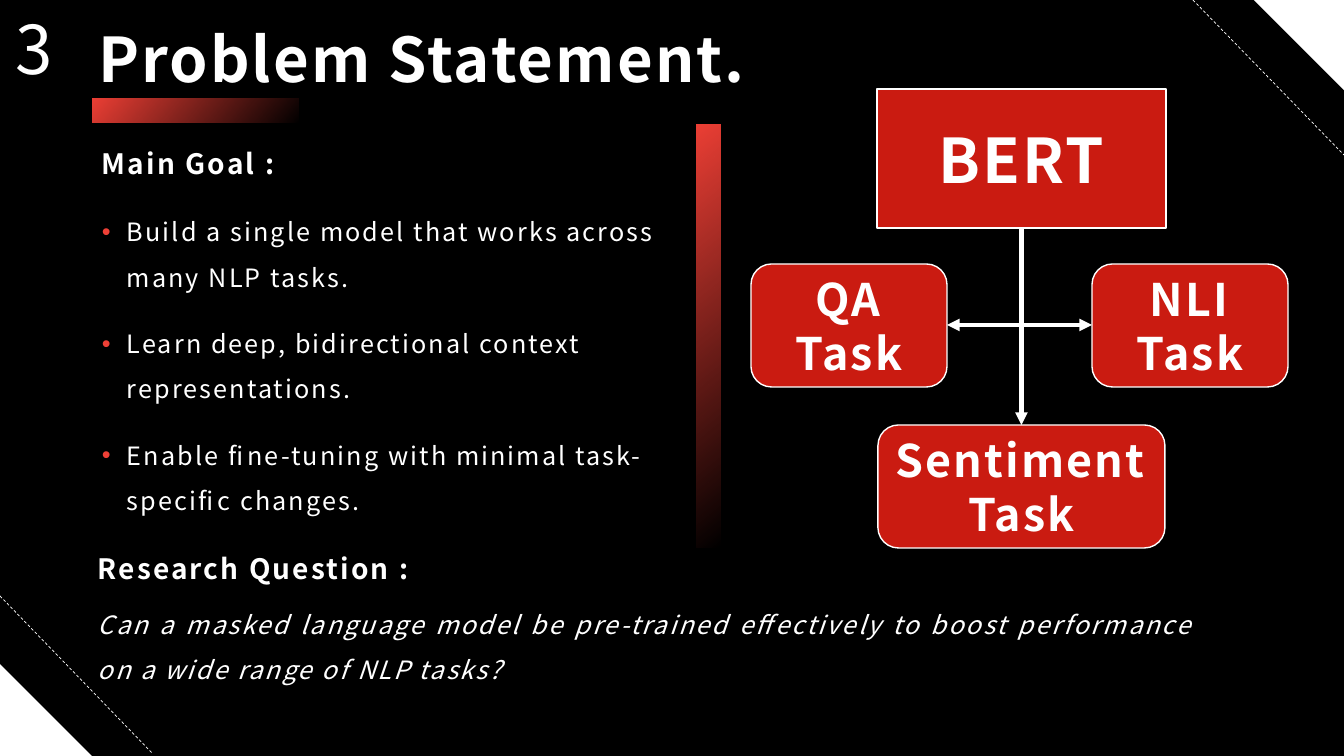
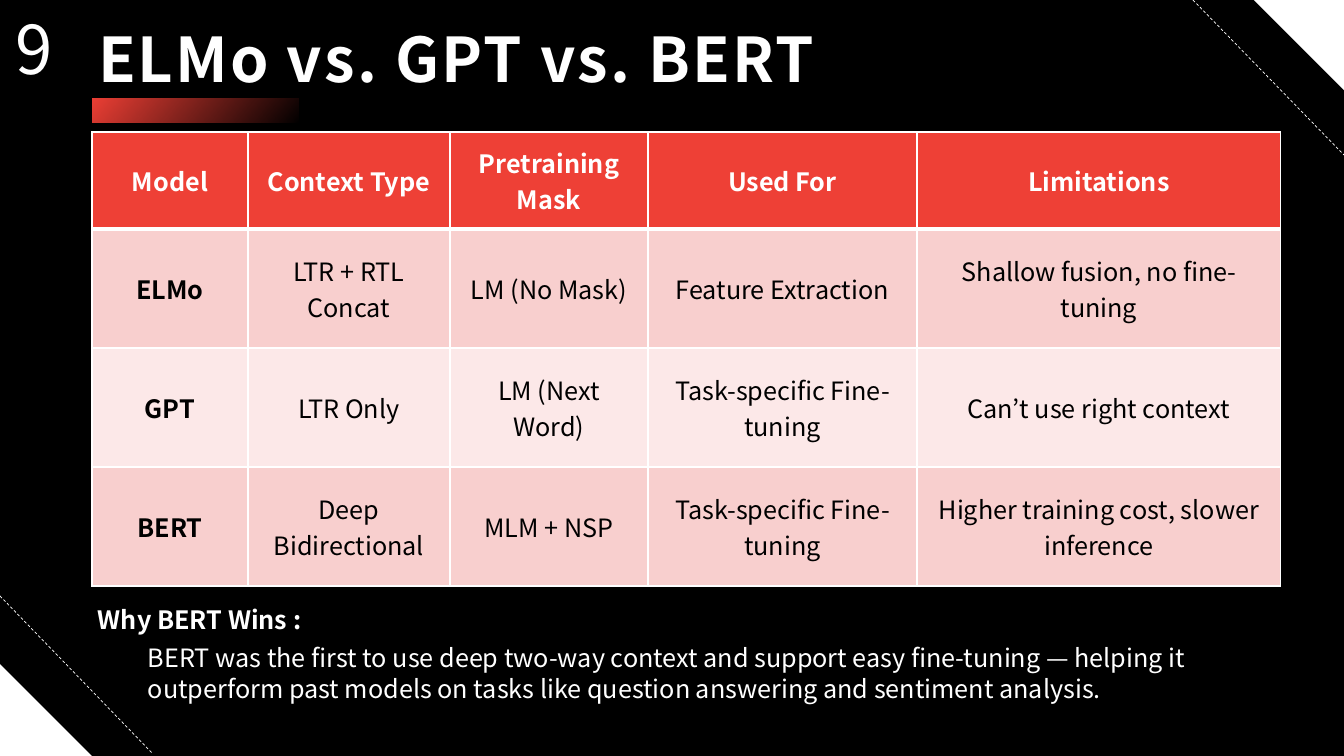
from dataclasses import dataclass
from typing import Any

from lxml import etree
from pptx import Presentation
from pptx.dml.color import RGBColor
from pptx.enum.dml import MSO_LINE
from pptx.enum.shapes import MSO_CONNECTOR, MSO_SHAPE
from pptx.enum.text import MSO_ANCHOR, PP_ALIGN
from pptx.oxml.ns import qn
from pptx.util import Emu, Pt

RECTANGLE = MSO_SHAPE.RECTANGLE
ROUNDED = MSO_SHAPE.ROUNDED_RECTANGLE
TRIANGLE = MSO_SHAPE.RIGHT_TRIANGLE
STRAIGHT, ELBOW = MSO_CONNECTOR.STRAIGHT, MSO_CONNECTOR.ELBOW
DASH = MSO_LINE.DASH
TOP, MIDDLE = MSO_ANCHOR.TOP, MSO_ANCHOR.MIDDLE
LEFT, CENTER = PP_ALIGN.LEFT, PP_ALIGN.CENTER
RIGHT, JUSTIFY = PP_ALIGN.RIGHT, PP_ALIGN.JUSTIFY
SITE_TOP, SITE_BOTTOM = 0, 2

WHITE, BLACK = "FFFFFF", "000000"
RED, DARK_RED = "EE4036", "CA1B11"
ROW_FILLS = ("F8CFCE", "FCE8E8")
BODY_FONT, HEAD_FONT = "Noto Sans CJK JP", "Noto Sans CJK TC"
TRACKING = 150
LOOSE = 1.5
EMU_PER_PX = 914400 / 100.8


@dataclass(frozen=True)
class Box:
    left: int
    top: int
    width: int
    height: int

    def emu(self) -> tuple[Emu, ...]:
        return tuple(px(n) for n in (self.left, self.top, self.width, self.height))


@dataclass(frozen=True)
class Text:
    text: str
    size: int = 18
    bold: bool = False
    italic: bool = False
    color: str = WHITE
    font: str = BODY_FONT
    tracking: int = 0
    line: float = 1.0
    before: int = 0
    align: PP_ALIGN = LEFT
    indent: int = 0
    bullet: bool = False


@dataclass(frozen=True)
class Task:
    label: str
    box: Box


CORNERS = ((Box(0, 664, 92, 92), 0), (Box(1253, -1, 92, 92), 180))
DASHED_LINES = (((0, 596), (153, 754)), ((1193, 0), (1344, 155)))
TITLE_BOX = Box(88, 22, 1160, 81)
NUMBER_BOX = Box(0, 2, 63, 92)
UNDERLINE_BOX = Box(93, 99, 206, 24)
DIVIDER_BOX = Box(697, 125, 24, 423)

MODEL_BOX = Box(877, 89, 289, 139)
TRUNK_START = (1021, 228)
TASKS = (
    Task("QA Task", Box(751, 264, 196, 123)),
    Task("NLI Task", Box(1092, 264, 196, 123)),
    Task("Sentiment Task", Box(878, 425, 287, 123)),
)
GOALS = (
    "Build a single model that works across many NLP tasks.",
    "Learn deep, bidirectional context representations.",
    "Enable fine-tuning with minimal task-specific changes.",
)
QUESTION = (
    "Can a masked language model be pre-trained effectively to boost "
    "performance on a wide range of NLP tasks?"
)
COLUMN_WIDTHS = (156, 202, 198, 269, 364)
ROW_HEIGHTS = (97, 119, 119, 119)
COMPARISON = (
    ("Model", "Context Type", "Pretraining Mask", "Used For", "Limitations"),
    ("ELMo", "LTR + RTL Concat", "LM (No Mask)", "Feature Extraction",
     "Shallow fusion, no fine-tuning"),
    ("GPT", "LTR Only", "LM (Next Word)", "Task-specific Fine-tuning",
     "Can’t use right context"),
    ("BERT", "Deep Bidirectional", "MLM + NSP", "Task-specific Fine-tuning",
     "Higher training cost, slower inference"),
)
CONCLUSION = (
    "BERT was the first to use deep two-way context and support easy fine-tuning "
    "— helping it outperform past models on tasks like question answering and "
    "sentiment analysis."
)


def px(value: float) -> Emu:
    return Emu(round(value * EMU_PER_PX))


def rgb(value: str) -> RGBColor:
    return RGBColor.from_string(value)


def set_attributes(target: Any, values: dict[str, Any]) -> None:
    for name, value in values.items():
        setattr(target, name, value)


def add_element(parent: Any, tag: str, **attributes: str) -> Any:
    return etree.SubElement(parent, qn(tag), attributes)


def add_bullet(properties: Any) -> None:
    add_element(add_element(properties, "a:buClr"), "a:srgbClr", val=RED)
    add_element(properties, "a:buFont", typeface="Arial")
    add_element(properties, "a:buChar", char="•")


def write_text(frame: Any, texts: list[Text], anchor: MSO_ANCHOR = TOP) -> None:
    set_attributes(frame, {"word_wrap": True, "vertical_anchor": anchor})
    for index, item in enumerate(texts):
        paragraph = frame.add_paragraph() if index else frame.paragraphs[0]
        properties = paragraph._p.get_or_add_pPr()
        if item.indent:
            properties.set("marL", str(px(item.indent)))
        if item.bullet:
            properties.set("indent", str(-px(item.indent)))
            add_bullet(properties)
        set_attributes(paragraph, {
            "alignment": item.align,
            "line_spacing": item.line,
            "space_before": Pt(item.before),
        })
        run = paragraph.add_run()
        run.text = item.text
        set_attributes(run.font, {
            "name": item.font,
            "size": Pt(item.size),
            "bold": item.bold,
            "italic": item.italic,
        })
        run.font.color.rgb = rgb(item.color)
        if item.tracking:
            run.font._element.set("spc", str(item.tracking))


def add_text(slide: Any, box: Box, texts: list[Text]) -> Any:
    shape = slide.shapes.add_textbox(*box.emu())
    write_text(shape.text_frame, texts)
    return shape


def add_block(slide: Any, kind: MSO_SHAPE, box: Box, fill: str, outline: str = "") -> Any:
    shape = slide.shapes.add_shape(kind, *box.emu())
    shape.shadow.inherit = False
    shape.fill.solid()
    shape.fill.fore_color.rgb = rgb(fill)
    if outline:
        shape.line.color.rgb = rgb(outline)
        shape.line.width = Pt(1)
    else:
        shape.line.fill.background()
    return shape


def add_fading_bar(slide: Any, box: Box, angle: int) -> None:
    shape = add_block(slide, RECTANGLE, box, RED)
    shape.fill.gradient()
    shape.fill.gradient_angle = 360 - angle
    for stop in shape.fill.gradient_stops:
        stop.color.rgb = rgb(RED)
    last_color = list(shape.element.spPr.iter(qn("a:srgbClr")))[-1]
    add_element(last_color, "a:alpha", val="0")


def add_line(slide: Any, start: tuple[float, float], end: tuple[float, float],
             width: float, kind: MSO_CONNECTOR = STRAIGHT) -> Any:
    points = [px(value) for value in (*start, *end)]
    connector = slide.shapes.add_connector(kind, *points)
    connector.line.color.rgb = rgb(WHITE)
    connector.line.width = Pt(width)
    add_element(connector.element.spPr, "a:effectLst")
    return connector


def add_arrowhead(connector: Any) -> None:
    add_element(connector.element.spPr.find(qn("a:ln")), "a:tailEnd", type="triangle")


def add_bent_arrow(slide: Any, start: tuple[int, int], end: tuple[int, int]) -> None:
    drop, run = end[1] - start[1], abs(end[0] - start[0])
    middle_x, middle_y = (start[0] + end[0]) / 2, (start[1] + end[1]) / 2
    near, far = middle_x - drop / 2, middle_x + drop / 2
    top, bottom = middle_y - run / 2, middle_y + run / 2
    goes_left = end[0] < start[0]
    first, last = (near, far) if goes_left else (far, near)
    arrow = add_line(slide, (first, top), (last, bottom), 3, ELBOW)
    arrow.element.spPr.find(qn("a:prstGeom")).set("prst", "bentConnector2")
    arrow.element.spPr.find(qn("a:xfrm")).set("rot", str((90 if goes_left else 270) * 60000))
    add_arrowhead(arrow)


def add_frame(presentation: Any, title: str, number: str) -> Any:
    slide = presentation.slides.add_slide(presentation.slide_layouts[5])
    for box, rotation in CORNERS:
        add_block(slide, TRIANGLE, box, WHITE).rotation = rotation
    for start, end in DASHED_LINES:
        add_line(slide, start, end, 0.5).line.dash_style = DASH
    add_fading_bar(slide, UNDERLINE_BOX, 40)
    placeholder = slide.shapes.title
    set_attributes(placeholder, dict(zip(("left", "top", "width", "height"), TITLE_BOX.emu())))
    heading = Text(title, 44, True, font=HEAD_FONT, tracking=TRACKING, line=0.9)
    write_text(placeholder.text_frame, [heading], MIDDLE)
    label = Text(number, 48, font=HEAD_FONT, tracking=TRACKING, align=RIGHT)
    add_text(slide, NUMBER_BOX, [label]).text_frame.margin_left = 0
    return slide


def add_node(slide: Any, kind: MSO_SHAPE, box: Box, label: str, size: int) -> Any:
    shape = add_block(slide, kind, box, DARK_RED, WHITE)
    text = Text(label, size, True, font=HEAD_FONT, tracking=TRACKING, align=CENTER)
    write_text(shape.text_frame, [text], MIDDLE)
    return shape


def add_task_diagram(slide: Any) -> None:
    model = add_node(slide, RECTANGLE, MODEL_BOX, "BERT", 44)
    nodes = [add_node(slide, ROUNDED, task.box, task.label, 32) for task in TASKS]
    left_box, right_box, bottom_box = (task.box for task in TASKS)
    side_y = left_box.top + left_box.height // 2
    for side_x in (left_box.left + left_box.width, right_box.left):
        add_bent_arrow(slide, TRUNK_START, (side_x, side_y))
    trunk = add_line(slide, TRUNK_START, (TRUNK_START[0], bottom_box.top), 3)
    trunk.begin_connect(model, SITE_BOTTOM)
    trunk.end_connect(nodes[-1], SITE_TOP)
    add_arrowhead(trunk)


def add_problem_slide(presentation: Any) -> None:
    slide = add_frame(presentation, "Problem Statement.", "3")
    shared: dict[str, Any] = {"tracking": TRACKING, "line": LOOSE}
    goals = [Text(goal, before=15, indent=25, bullet=True, **shared) for goal in GOALS]
    add_text(slide, Box(92, 125, 581, 400), [Text("Main Goal :", 20, True, **shared), *goals])
    add_fading_bar(slide, DIVIDER_BOX, 50)
    add_text(slide, Box(88, 530, 1116, 170), [
        Text("Research Question :", 20, True, **shared),
        Text(QUESTION, italic=True, before=6, align=JUSTIFY, **shared),
    ])
    add_task_diagram(slide)


def set_borders(cell: Any, widths: dict[str, int]) -> None:
    properties = cell._tc.get_or_add_tcPr()
    for side, width in widths.items():
        border = add_element(properties, f"a:ln{side}", w=str(Pt(width)))
        add_element(add_element(border, "a:solidFill"), "a:srgbClr", val=WHITE)


def add_comparison_table(slide: Any) -> None:
    box = Box(92, 132, sum(COLUMN_WIDTHS), sum(ROW_HEIGHTS))
    table = slide.shapes.add_table(len(ROW_HEIGHTS), len(COLUMN_WIDTHS), *box.emu()).table
    for column, width in zip(table.columns, COLUMN_WIDTHS):
        column.width = px(width)
    for row_index, (row, height) in enumerate(zip(table.rows, ROW_HEIGHTS)):
        row.height = px(height)
        header = row_index == 0
        fill = RED if header else ROW_FILLS[(row_index - 1) % 2]
        borders = {"L": 1, "R": 1, "T": 3 if row_index == 1 else 1, "B": 3 if header else 1}
        for column_index, (cell, value) in enumerate(zip(row.cells, COMPARISON[row_index])):
            set_borders(cell, borders)
            cell.fill.solid()
            cell.fill.fore_color.rgb = rgb(fill)
            bold = header or column_index == 0
            color = WHITE if header else BLACK
            write_text(cell.text_frame, [Text(value, bold=bold, color=color, align=CENTER)])
            cell.vertical_anchor = MIDDLE


def add_comparison_slide(presentation: Any) -> None:
    slide = add_frame(presentation, "ELMo vs. GPT vs. BERT", "9")
    add_comparison_table(slide)
    add_text(slide, Box(88, 599, 1192, 110), [
        Text("Why BERT Wins :", bold=True),
        Text(CONCLUSION, before=6, indent=50),
    ])


def main() -> None:
    presentation = Presentation()
    set_attributes(presentation, {"slide_width": px(1344), "slide_height": px(756)})
    background = presentation.slide_master.background.fill
    background.solid()
    background.fore_color.rgb = rgb(BLACK)
    add_problem_slide(presentation)
    add_comparison_slide(presentation)
    presentation.save("out.pptx")


if __name__ == "__main__":
    main()
